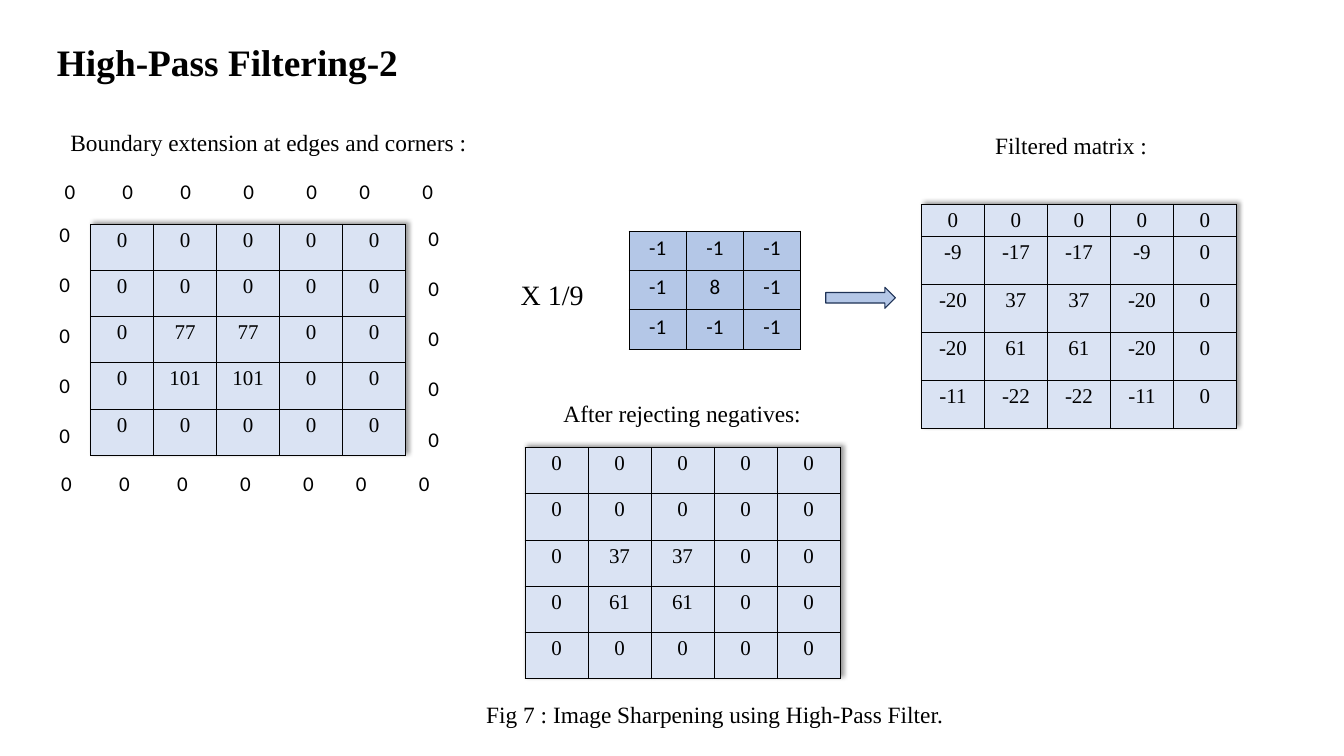
from dataclasses import dataclass

from lxml import etree
from pptx import Presentation
from pptx.dml.color import RGBColor
from pptx.enum.shapes import MSO_SHAPE
from pptx.enum.text import MSO_AUTO_SIZE, PP_ALIGN
from pptx.oxml import parse_xml
from pptx.oxml.ns import nsdecls, qn
from pptx.slide import Slide
from pptx.text.text import _Paragraph
from pptx.util import Inches, Pt

ARROW = MSO_SHAPE.RIGHT_ARROW
GROW = MSO_AUTO_SIZE.SHAPE_TO_FIT_TEXT
LEFT, CENTER = PP_ALIGN.LEFT, PP_ALIGN.CENTER

BLACK = RGBColor(0x00, 0x00, 0x00)
PALE = RGBColor(0xDA, 0xE3, 0xF3)
BLUE = RGBColor(0xB4, 0xC7, 0xE7)
NAVY = RGBColor(0x1E, 0x32, 0x56)
SERIF, SANS = "Times New Roman", "Calibri"

TABS = (0.69, 1.38, 2.13, 2.88, 3.51, 4.26)
ZERO_GAP = 21.5


@dataclass
class Label:
    text: str
    x: float
    y: float
    w: float
    h: float = 0.44
    size: int = 20
    bold: bool = False
    align: PP_ALIGN = LEFT


@dataclass
class Matrix:
    rows: tuple[str, ...]
    x: float
    y: float
    col: float
    heights: tuple[float, ...]
    h: float
    fill: RGBColor = PALE
    font: str = SERIF
    shadow: bool = True


@dataclass
class Zeros:
    x: float
    y: float
    w: float
    h: float
    across: bool


LABELS = (
    Label("High-Pass Filtering-2", 0.58, 0.42, 5.8, 0.64, 32, True),
    Label("Boundary extension at edges and corners :", 0.74, 1.48, 5.1),
    Label("X 1/9", 6.1, 3.26, 0.96, 0.5, 24),
    Label("Filtered matrix :", 11.75, 1.51, 2.63),
    Label("After rejecting negatives:", 6.61, 4.7, 3.04),
    Label("Fig 7 : Image Sharpening using High-Pass Filter.",
          5.57, 8.29, 5.88, align=CENTER),
)
MATRICES = (
    Matrix(("0 0 0 0 0", "0 0 0 0 0", "0 77 77 0 0", "0 101 101 0 0",
            "0 0 0 0 0"), 1.08, 2.67, 0.75, (0.55,) * 5, 2.75),
    Matrix(("-1 -1 -1", "-1 8 -1", "-1 -1 -1"), 7.49, 2.75, 0.68,
           (0.47,) * 3, 1.42, BLUE, SANS, False),
    Matrix(("0 0 0 0 0", "-9 -17 -17 -9 0", "-20 37 37 -20 0",
            "-20 61 61 -20 0", "-11 -22 -22 -11 0"), 10.97, 2.44, 0.75,
           (0.14,) + (0.57,) * 4, 2.67),
    Matrix(("0 0 0 0 0", "0 0 0 0 0", "0 37 37 0 0", "0 61 61 0 0",
            "0 0 0 0 0"), 6.25, 5.33, 0.75, (0.55,) * 5, 2.75),
)
BORDER = (
    Zeros(0.67, 2.08, 5.33, 0.4, True),
    Zeros(0.63, 5.55, 5.33, 0.4, True),
    Zeros(0.61, 2.59, 0.47, 2.83, False),
    Zeros(5, 2.63, 0.29, 2.83, False),
)


def add_run(para: _Paragraph, text: str, size: int, face: str,
            bold: bool = False) -> None:
    run = para.add_run()
    run.text = text
    font = run.font
    font.size, font.name, font.bold = Pt(size), face, bold
    font.color.rgb = BLACK


def add_box(slide: Slide, item: Label | Zeros):
    box = slide.shapes.add_textbox(
        Inches(item.x), Inches(item.y), Inches(item.w), Inches(item.h))
    frame = box.text_frame
    frame.word_wrap = True
    frame.auto_size = GROW
    return frame


def add_label(slide: Slide, label: Label) -> None:
    para = add_box(slide, label).paragraphs[0]
    para.alignment = label.align
    add_run(para, label.text, label.size, SERIF, label.bold)


def add_zeros(slide: Slide, zeros: Zeros) -> None:
    frame = add_box(slide, zeros)
    para = frame.paragraphs[0]
    if zeros.across:
        stops = etree.SubElement(para._p.get_or_add_pPr(), qn("a:tabLst"))
        for pos in TABS:
            etree.SubElement(stops, qn("a:tab"),
                             pos=str(Inches(pos)), algn="l")
        add_run(para, "\t".join("0" * 7), 18, SANS)
        return
    add_run(para, "0", 18, SANS)
    for _ in range(4):
        para = frame.add_paragraph()
        para.space_before = Pt(ZERO_GAP)
        add_run(para, "0", 18, SANS)


def add_matrix(slide: Slide, matrix: Matrix) -> None:
    grid = [row.split() for row in matrix.rows]
    count = len(grid[0])
    table = slide.shapes.add_table(
        len(grid), count, Inches(matrix.x), Inches(matrix.y),
        Inches(matrix.col * count), Inches(matrix.h)).table
    table.first_row = table.horz_banding = False
    if matrix.shadow:
        table._tbl.tblPr.insert(0, parse_xml(
            f'<a:effectLst {nsdecls("a")}><a:outerShdw blurRad="50800" '
            'dist="38100" dir="18900000" algn="bl" rotWithShape="0">'
            '<a:prstClr val="black"><a:alpha val="40000"/></a:prstClr>'
            '</a:outerShdw></a:effectLst>'))
    for col in table.columns:
        col.width = Inches(matrix.col)
    for r, values in enumerate(grid):
        table.rows[r].height = Inches(matrix.heights[r])
        for c, value in enumerate(values):
            cell = table.cell(r, c)
            # Cell borders come before the fill
            for side in "LRTB":
                cell._tc.get_or_add_tcPr().append(parse_xml(
                    f'<a:ln{side} {nsdecls("a")} w="12700"><a:solidFill>'
                    f'<a:srgbClr val="{BLACK}"/></a:solidFill></a:ln{side}>'))
            cell.fill.solid()
            cell.fill.fore_color.rgb = matrix.fill
            para = cell.text_frame.paragraphs[0]
            para.alignment = CENTER
            add_run(para, value, 18, matrix.font)


def add_arrow(slide: Slide) -> None:
    arrow = slide.shapes.add_shape(
        ARROW, Inches(9.83), Inches(3.42), Inches(0.83), Inches(0.25))
    arrow.shadow.inherit = False
    arrow.fill.solid()
    arrow.fill.fore_color.rgb = BLUE
    arrow.line.color.rgb = NAVY
    arrow.line.width = Pt(1)


def main() -> None:
    deck = Presentation()
    deck.slide_width, deck.slide_height = Inches(16), Inches(9)
    slide = deck.slides.add_slide(deck.slide_layouts[6])
    # Matrices and the zeros around the first one
    for matrix in MATRICES:
        add_matrix(slide, matrix)
    for zeros in BORDER:
        add_zeros(slide, zeros)
    # Title, captions and arrow
    for label in LABELS:
        add_label(slide, label)
    add_arrow(slide)
    deck.save("out.pptx")


if __name__ == "__main__":
    main()
